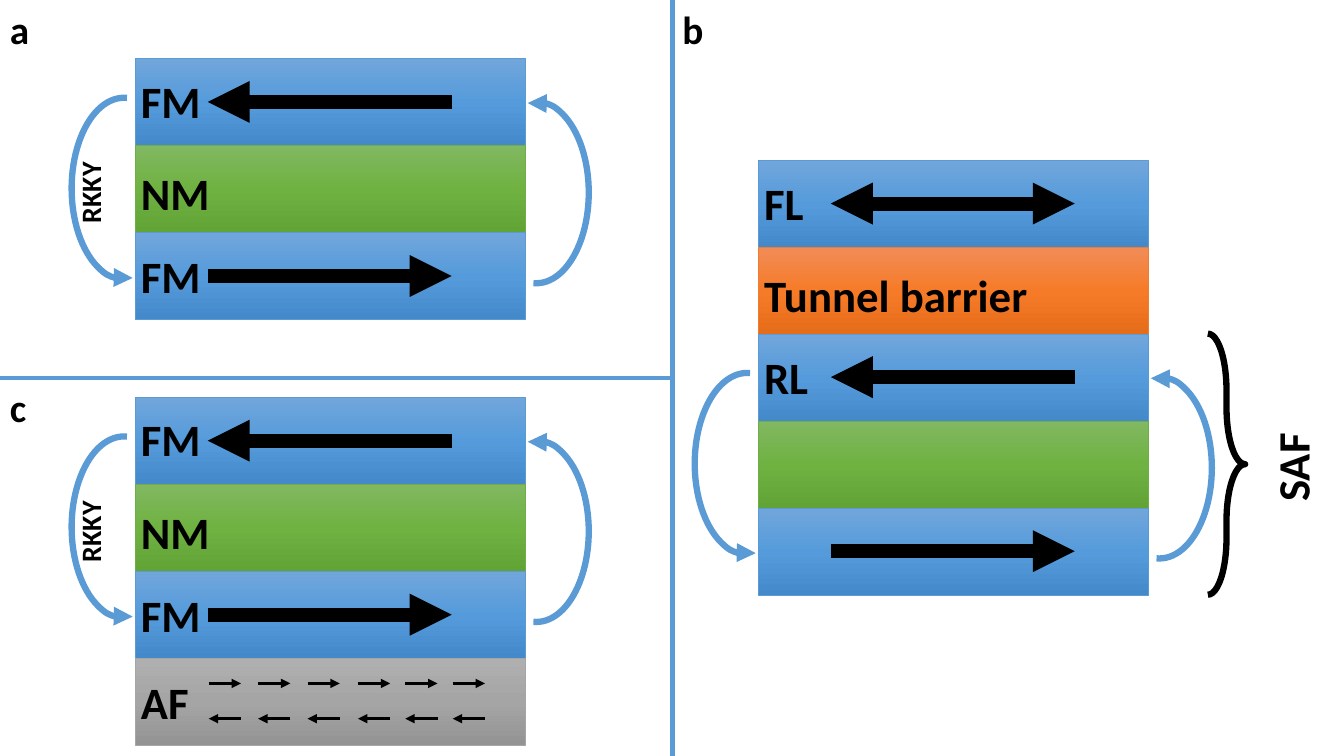
"""Draw three magnetic layer stacks: a coupled trilayer, a tunnel junction and a pinned trilayer."""
from copy import deepcopy

from pptx import Presentation
from pptx.dml.color import RGBColor
from pptx.enum.shapes import MSO_CONNECTOR, MSO_SHAPE
from pptx.enum.text import MSO_ANCHOR, MSO_AUTO_SIZE
from pptx.oxml.ns import qn
from pptx.oxml.xmlchemy import OxmlElement
from pptx.util import Inches, Pt

THEME = {
    "font": "Calibri", "black": "000000", "blue": "5B9BD5",
    "label": 32, "panel": 28, "note": 20,
    "thick": 10, "curve": 4.5, "rule": 3, "thin": 2.25, "edge": 0.5,
    "layers": {
        "magnet": ("5B9BD5", "71A6DB", "559BDB", "448ACA"),
        "spacer": ("70AD47", "81B861", "6FB242", "62A336"),
        "barrier": ("ED7D31", "F18C57", "F67B28", "E56C19"),
        "pinning": ("A5A5A5", "AFAFAF", "A5A5A5", "939393"),
    },
}
WIDE = 3.87
TALL = 2.59 / 3

deck = Presentation()
deck.slide_width, deck.slide_height = Inches(13.33), Inches(7.5)
slide = deck.slides.add_slide(deck.slide_layouts[6])
shapes = slide.shapes


def write(words, x, y, w, h, size, turn=0):
    box = shapes.add_textbox(Inches(x), Inches(y), Inches(w), Inches(h))
    box.rotation = turn
    frame = box.text_frame
    frame.word_wrap = False
    frame.auto_size = MSO_AUTO_SIZE.SHAPE_TO_FIT_TEXT
    frame.vertical_anchor = MSO_ANCHOR.TOP
    run = frame.paragraphs[0].add_run()
    run.text = words
    run.font.name, run.font.size, run.font.bold = THEME["font"], Pt(THEME[size]), True
    run.font.color.rgb = RGBColor.from_string(THEME["black"])


def draw(x1, y1, x2, y2, color, width, ends=()):
    line = shapes.add_connector(
        MSO_CONNECTOR.STRAIGHT, Inches(x1), Inches(y1), Inches(x2), Inches(y2))
    line.line.color.rgb = RGBColor.from_string(THEME[color])
    line.line.width = Pt(THEME[width])
    for end in ends:
        tip = OxmlElement(end)
        tip.set("type", "triangle")
        line.line._ln.append(tip)
    line._element.spPr.append(OxmlElement("a:effectLst"))


TAIL = ("a:tailEnd",)
BOTH = ("a:headEnd", "a:tailEnd")

stacks = [
    (1.34, 0.58, [("magnet", "FM", 0.8, 0.1), ("spacer", "NM", 0.89, 0.15),
                  ("magnet", "FM", 0.8, 0.11)]),
    (1.34, 3.94, [("magnet", "FM", 0.8, 0.1), ("spacer", "NM", 0.89, 0.15),
                  ("magnet", "FM", 0.8, 0.11), ("pinning", "AF", 0.68, 0.11)]),
    (7.52, 1.59, [("magnet", "FL", 0.6, 0.1), ("barrier", "Tunnel barrier", 2.84, 0.15),
                  ("magnet", "RL", 0.64, 0.1), ("spacer", "", 0, 0), ("magnet", "", 0, 0)]),
]
for left, top, layers in stacks:
    for row, (kind, name, width, drop) in enumerate(layers):
        y = top + row * TALL
        edge, *tones = THEME["layers"][kind]
        layer = shapes.add_shape(
            MSO_SHAPE.RECTANGLE, Inches(left), Inches(y), Inches(WIDE), Inches(TALL))
        layer.shadow.inherit = False
        layer.line.color.rgb = RGBColor.from_string(edge)
        layer.line.width = Pt(THEME["edge"])
        layer.fill.gradient()
        layer.fill.gradient_angle = 270
        stops = layer._element.spPr.find(qn("a:gradFill")).find(qn("a:gsLst"))
        stops.insert(1, deepcopy(stops[0]))
        for stop, tone, place in zip(layer.fill.gradient_stops, tones, (0, 0.5, 1)):
            stop.color.rgb = RGBColor.from_string(tone)
            stop.position = place
        if name:
            write(name, left - 0.04, y + drop, width, 0.64, "label")

for left, top in ((1.34, 0.58), (1.34, 3.94), (7.52, 3.31)):
    near, far = left + 0.72, left + 3.14
    high, low = top + TALL / 2, top + TALL * 2.5
    draw(far, high, near, high, "black", "thick", TAIL)
    draw(near, low, far, low, "black", "thick", TAIL)
    for x, y, flip in ((left - 0.63, top + 0.39, "flipV"), (left + 3.46, top + 0.43, "flipH")):
        arc = shapes.add_shape(MSO_SHAPE.ARC, Inches(x), Inches(y), Inches(1.04), Inches(1.8))
        arc.adjustments[0], arc.adjustments[1] = 160.9, 57.28
        arc.rotation = 180
        arc._element.spPr.xfrm.set(flip, "1")
        arc.shadow.inherit = False
        arc.fill.background()
        arc.line.color.rgb = RGBColor.from_string(THEME["blue"])
        arc.line.width = Pt(THEME["curve"])
        tip = OxmlElement("a:tailEnd")
        tip.set("type", "triangle")
        arc.line._ln.append(tip)

draw(10.66, 2.02, 8.24, 2.02, "black", "thick", BOTH)

for x in (2.07, 2.56, 3.05, 3.55, 4.02, 4.49):
    draw(x, 6.78, x + 0.32, 6.78, "black", "thin", TAIL)
    draw(x + 0.32, 7.13, x, 7.13, "black", "thin", TAIL)

draw(6.67, 0, 6.67, 7.5, "blue", "rule")
draw(0, 3.75, 6.67, 3.75, "blue", "rule")

brace = shapes.add_shape(
    MSO_SHAPE.RIGHT_BRACE, Inches(11.98), Inches(3.31), Inches(0.37), Inches(2.59))
brace.adjustments[0], brace.adjustments[1] = 1.52, 0.5
brace.shadow.inherit = False
brace.fill.background()
brace.line.color.rgb = RGBColor.from_string(THEME["black"])
brace.line.width = Pt(THEME["curve"])

for top in (0.58, 3.94):
    write("RKKY", 0.49, top + 1.11, 0.81, 0.44, "note", 270)
write("SAF", 12.37, 4.31, 0.89, 0.64, "label", 270)
for name, x, y, width in (("a", 0, 0, 0.4), ("b", 6.67, 0, 0.41), ("c", 0, 3.75, 0.37)):
    write(name, x, y, width, 0.57, "panel")

deck.save("out.pptx")
